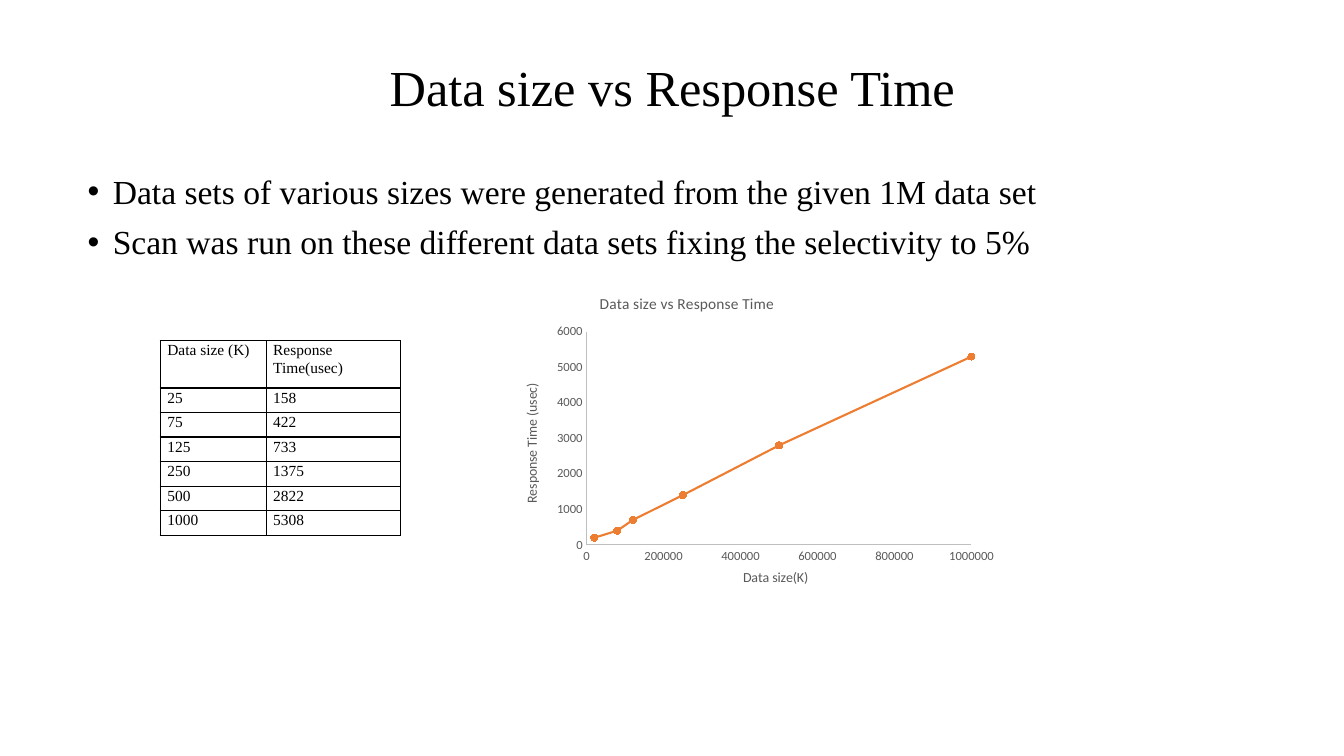
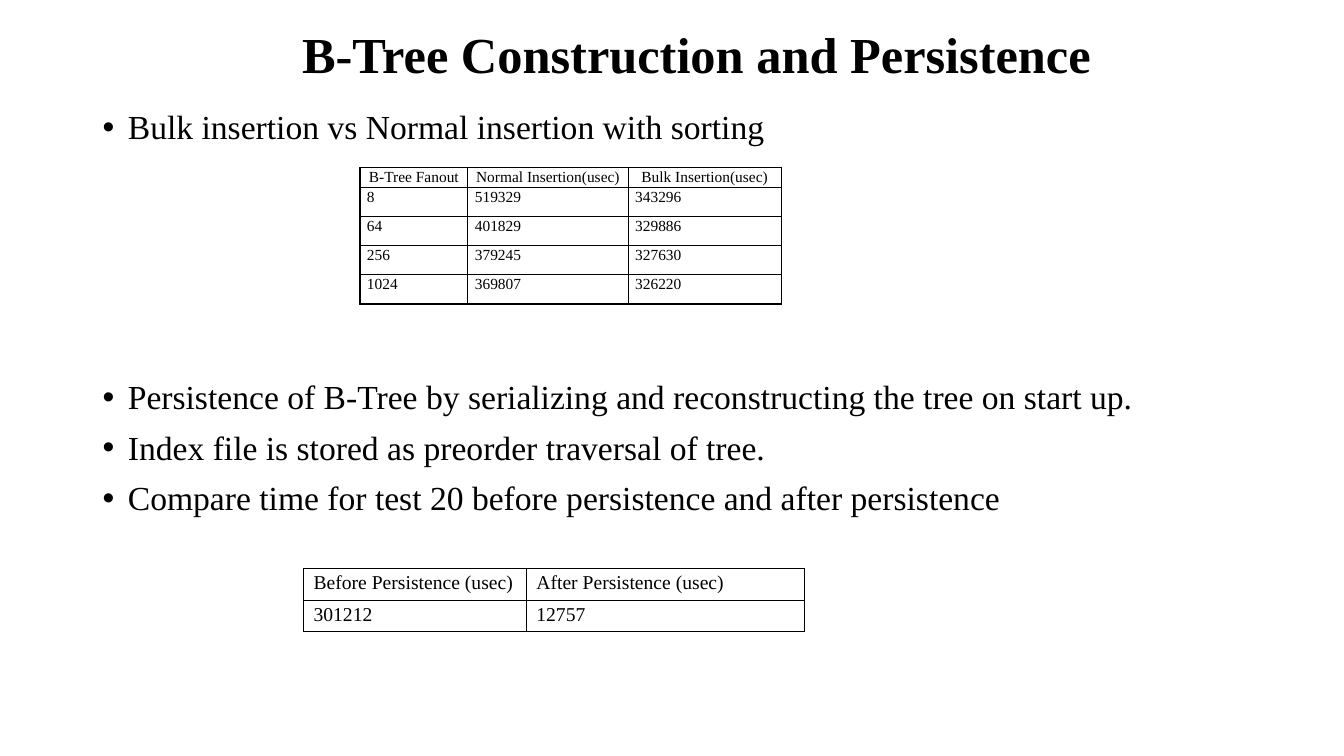
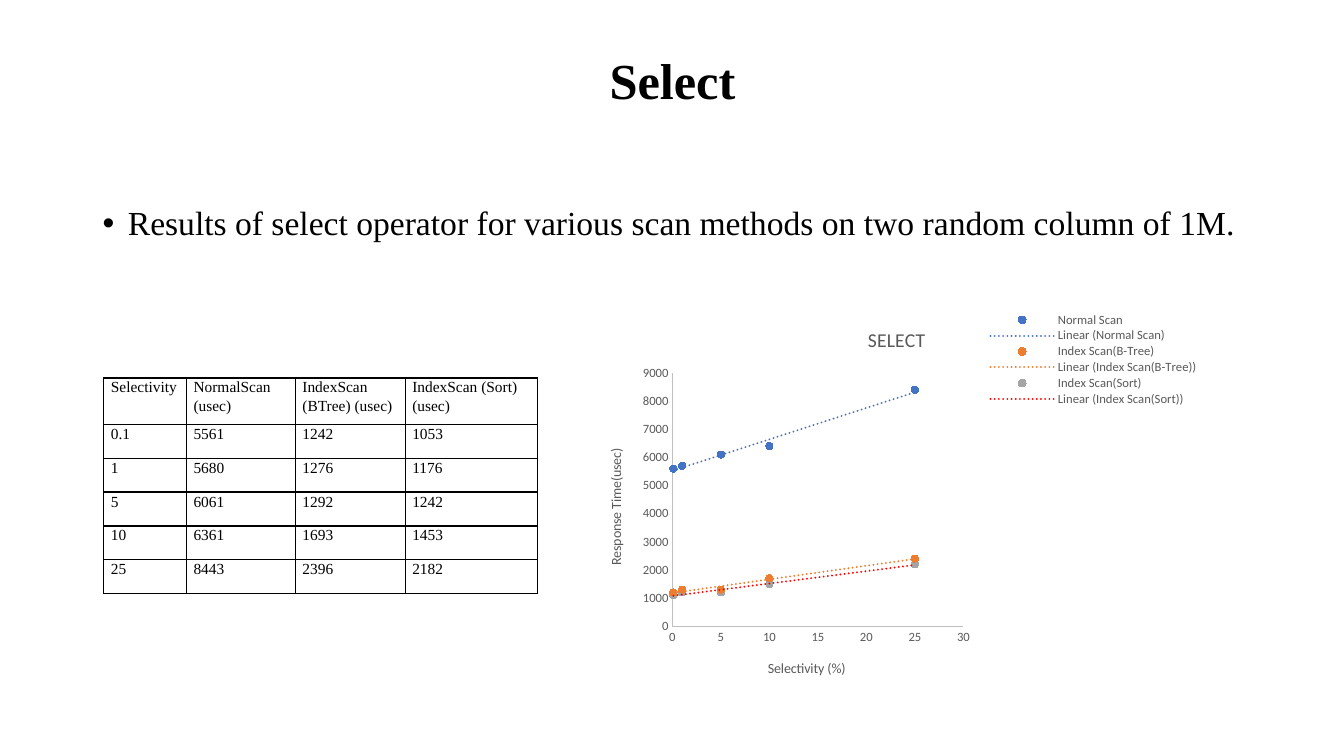
"""Build three slides on data size, B-tree and select benchmarks."""
from pptx import Presentation
from pptx.chart.data import XyChartData
from pptx.dml.color import RGBColor
from pptx.enum.chart import XL_CHART_TYPE, XL_LEGEND_POSITION, XL_MARKER_STYLE, XL_TICK_MARK
from pptx.enum.text import MSO_ANCHOR, PP_ALIGN
from pptx.oxml import parse_xml
from pptx.oxml.ns import nsdecls, qn
from pptx.util import Inches, Pt

LEFT, CENTER, JUSTIFY = PP_ALIGN.LEFT, PP_ALIGN.CENTER, PP_ALIGN.JUSTIFY
TOP, MIDDLE = MSO_ANCHOR.TOP, MSO_ANCHOR.MIDDLE
SCATTER, SCATTER_LINES = XL_CHART_TYPE.XY_SCATTER, XL_CHART_TYPE.XY_SCATTER_LINES
LEGEND_RIGHT = XL_LEGEND_POSITION.RIGHT
CIRCLE = XL_MARKER_STYLE.CIRCLE
NO_TICK = XL_TICK_MARK.NONE

BLACK = RGBColor(0x00, 0x00, 0x00)
GRAY_TEXT = RGBColor(0x59, 0x59, 0x59)
AXIS_GRAY = RGBColor(0xBF, 0xBF, 0xBF)
BLUE = RGBColor(0x44, 0x72, 0xC4)
ORANGE = RGBColor(0xED, 0x7D, 0x31)
SILVER = RGBColor(0xA5, 0xA5, 0xA5)
RED = RGBColor(0xFF, 0x00, 0x00)

TEXT_FONT = "Times New Roman"
CHART_FONT = "Calibri"

SIZE_ROWS = [(25, 158), (75, 422), (125, 733), (250, 1375), (500, 2822), (1000, 5308)]
SELECT_ROWS = [
    (0.1, 5561, 1242, 1053),
    (1, 5680, 1276, 1176),
    (5, 6061, 1292, 1242),
    (10, 6361, 1693, 1453),
    (25, 8443, 2396, 2182),
]

SLIDES = [
    {
        "title": {"text": "Data size vs Response Time", "at": (0.92, 0.4, 11.5, 0.99), "bold": False},
        "bullets": [
            ((0.77, 1.69, 11.65, 1.1), [
                "Data sets of various sizes were generated from the given 1M data set",
                "Scan was run on these different data sets fixing the selectivity to 5%",
            ]),
        ],
        "tables": [{
            "at": (1.59, 3.38), "columns": (1.05, 1.33), "height": 1.93, "header_height": 0.47,
            "header": ("Data size (K)", "Response Time(usec)"), "rows": SIZE_ROWS,
        }],
        "chart": {
            "kind": SCATTER_LINES, "at": (4.8, 2.88, 5.09, 2.97),
            "title": "Data size vs Response Time", "title_size": 11, "title_at": (0.22, 0),
            "plot_at": (0.2, 0.14, 0.75, 0.72),
            "x_axis": {"title": "Data size(K)", "at": (0.5, 0.93), "maximum": 1000000, "step": 200000},
            "y_axis": {"title": "Response Time (usec)", "at": (0.07, 0.31), "maximum": 6000, "step": 1000},
            "rows": [(round(size * 1000, -4), time) for size, time in SIZE_ROWS],
            "series": [("Response Time (usec)", ORANGE, None)],
        },
    },
    {
        "title": {"text": "B-Tree Construction and Persistence", "at": (1.16, 0.14, 11.5, 0.85), "bold": True},
        "bullets": [
            ((0.92, 1.05, 11.5, 0.5), ["Bulk insertion vs Normal insertion with sorting"]),
            ((0.92, 3.73, 11.5, 1.6), [
                "Persistence of B-Tree by serializing and reconstructing the tree on start up.",
                "Index file is stored as preorder traversal of tree.",
                "Compare time for test 20 before persistence and after persistence",
            ]),
        ],
        "tables": [
            {
                "at": (3.57, 1.66), "columns": (1.07, 1.59, 1.52), "height": 1.34, "header_height": 0.18,
                "header": ("B-Tree Fanout", "Normal Insertion(usec)", "Bulk Insertion(usec)"),
                "rows": [(8, 519329, 343296), (64, 401829, 329886),
                         (256, 379245, 327630), (1024, 369807, 326220)],
                "header_align": CENTER, "align": JUSTIFY,
            },
            {
                "at": (3.01, 5.64), "columns": (2.21, 2.76), "height": 0.62, "header_height": 0.31,
                "header": ("Before Persistence (usec)", "After Persistence (usec)"),
                "rows": [(301212, 12757)],
                "size": 14, "spacing": 1.0, "insets": (0.1, 0.04),
            },
        ],
    },
    {
        "title": {"text": "Select", "at": (0.92, 0.4, 11.5, 0.85), "bold": True},
        "bullets": [
            ((0.92, 2, 11.5, 0.5), [
                "Results of select operator for various scan methods on two random column of 1M.",
            ]),
        ],
        "tables": [{
            "at": (1.03, 3.75), "columns": (0.82, 1.08, 1.09, 1.31), "height": 2.14, "header_height": 0.46,
            "header": ("Selectivity", "NormalScan (usec)", "IndexScan\n(BTree) (usec)",
                       "IndexScan (Sort)\n(usec)"),
            "rows": SELECT_ROWS, "header_align": JUSTIFY, "align": JUSTIFY,
        }],
        "chart": {
            "kind": SCATTER, "at": (5.81, 3.09, 6.14, 3.81),
            "title": "SELECT", "title_size": 14, "title_at": (0.45, 0.03),
            "plot_at": (0.14, 0.16, 0.47, 0.66), "legend_at": (0.65, 0, 0.34, 0.25),
            "x_axis": {"title": "Selectivity (%)", "at": (0.29, 0.9), "maximum": 30, "step": 5},
            "y_axis": {"title": "Response Time(usec)", "at": (0.03, 0.35), "maximum": 9000, "step": 1000},
            "rows": SELECT_ROWS,
            "series": [("Normal Scan", BLUE, BLUE), ("Index Scan(B-Tree)", ORANGE, ORANGE),
                       ("Index Scan(Sort)", SILVER, RED)],
        },
    },
]


def style_font(font, size, name=CHART_FONT, color=GRAY_TEXT, bold=False):
    """Set the face, size, colour and weight of a font."""
    font.name, font.size, font.bold = name, Pt(size), bold
    font.color.rgb = color


def write_text(frame, lines, size=24, name=TEXT_FONT, color=BLACK, bold=False,
               align=LEFT, spacing=0.9, space_before=0, bullet=None):
    """Write one formatted paragraph per line into a text frame."""
    for index, line in enumerate(lines):
        para = frame.add_paragraph() if index else frame.paragraphs[0]
        para.alignment, para.line_spacing = align, spacing
        if index and space_before:
            para.space_before = Pt(space_before)
        if bullet:
            properties = para._p.get_or_add_pPr()
            properties.set("marL", str(Inches(0.25)))
            properties.set("indent", str(-Inches(0.25)))
            properties.append(parse_xml(f'<a:buFont {nsdecls("a")} typeface="Arial"/>'))
            properties.append(parse_xml(f'<a:buChar {nsdecls("a")} char="{bullet}"/>'))
        span = para.add_run()
        span.text = line
        style_font(span.font, size, name, color, bold)


def add_text(page, at, lines, anchor=TOP, **style):
    """Add a wrapped text box."""
    frame = page.shapes.add_textbox(*map(Inches, at)).text_frame
    frame.word_wrap, frame.vertical_anchor = True, anchor
    write_text(frame, lines, **style)


def draw_borders(cell):
    """Give a cell a thin black line on every side."""
    properties = cell._tc.get_or_add_tcPr()
    for index, side in enumerate(("lnL", "lnR", "lnT", "lnB")):
        properties.insert(index, parse_xml(
            f'<a:{side} {nsdecls("a")} w="{Pt(1)}"><a:solidFill>'
            f'<a:srgbClr val="{BLACK}"/></a:solidFill></a:{side}>'))


def add_grid(page, at, columns, height, header_height, header, rows, header_align=LEFT,
             align=LEFT, size=11, spacing=1.07, insets=(0.07, 0)):
    """Add a ruled table with a header row and equal body rows."""
    body_height = (height - header_height) / len(rows)
    frame = page.shapes.add_table(len(rows) + 1, len(columns), *map(
        Inches, (*at, sum(columns), height)))
    table = frame.table
    table.first_row = table.horz_banding = False
    for column, width in zip(table.columns, columns):
        column.width = Inches(width)
    for index, (row, values) in enumerate(zip(table.rows, [header, *rows])):
        row.height = Inches(body_height if index else header_height)
        for cell, value in zip(row.cells, values):
            cell.margin_left = cell.margin_right = Inches(insets[0])
            cell.margin_top = cell.margin_bottom = Inches(insets[1])
            cell.fill.background()
            draw_borders(cell)
            write_text(cell.text_frame, str(value).split("\n"), size=size, spacing=spacing,
                       align=align if index else header_align)


def place(element, at, inner=False):
    """Give a chart part a manual place, in fractions of the chart."""
    for layout in element.findall(qn("c:layout")):
        element.remove(layout)
    target = '<c:layoutTarget val="inner"/>' if inner else ""
    modes = '<c:xMode val="edge"/><c:yMode val="edge"/>'
    values = "".join(f'<c:{key} val="{value}"/>' for key, value in zip("xywh", at))
    layout = parse_xml(f'<c:layout {nsdecls("c")}><c:manualLayout>{target}{modes}{values}'
                       '</c:manualLayout></c:layout>')
    overlay = element.find(qn("c:overlay"))
    if overlay is None:
        element.insert(0, layout)
    else:
        overlay.addprevious(layout)


def write_chart_title(title, text, size, at):
    """Fill and place the title of a chart or an axis."""
    write_text(title.text_frame, [text], size=size, name=CHART_FONT, color=GRAY_TEXT,
               align=CENTER, spacing=1.0)
    place(title._element, at)


def style_axis(axis, title, at, maximum, step):
    """Set the scale, line, labels and title of an axis."""
    axis.minimum_scale, axis.maximum_scale, axis.major_unit = 0, maximum, step
    axis.has_major_gridlines = False
    axis.major_tick_mark = axis.minor_tick_mark = NO_TICK
    axis.format.line.color.rgb, axis.format.line.width = AXIS_GRAY, Pt(0.75)
    axis.tick_labels.number_format = "General"
    axis.tick_labels.number_format_is_linked = False
    style_font(axis.tick_labels.font, 9)
    write_chart_title(axis.axis_title, title, 10, at)


def add_trend(series, color):
    """Add a dotted linear trend line to a series."""
    series._element.find(qn("c:xVal")).addprevious(parse_xml(
        f'<c:trendline {nsdecls("c", "a")}><c:spPr><a:ln w="{Pt(1.5)}" cap="rnd"><a:solidFill>'
        f'<a:srgbClr val="{color}"/></a:solidFill><a:prstDash val="sysDot"/></a:ln></c:spPr>'
        '<c:trendlineType val="linear"/><c:dispRSqr val="0"/><c:dispEq val="0"/></c:trendline>'))


def add_scatter(page, kind, at, title, title_size, title_at, plot_at, x_axis, y_axis,
                rows, series, legend_at=None):
    """Add a scatter chart of times, rounded to hundreds, over the first column."""
    data = XyChartData()
    for column, (name, _, _) in enumerate(series, 1):
        points = data.add_series(name)
        for row in rows:
            points.add_data_point(row[0], round(row[column], -2))
    chart = page.shapes.add_chart(kind, *map(Inches, at), data).chart
    style_font(chart.font, 10)
    chart.has_title = True
    write_chart_title(chart.chart_title, title, title_size, title_at)
    style_axis(chart.category_axis, **x_axis)
    style_axis(chart.value_axis, **y_axis)
    place(chart._chartSpace.chart.plotArea, plot_at, inner=True)
    plot = chart.plots[0]
    plot.vary_by_categories = False
    for item, (_, color, trend_color) in zip(plot.series, series):
        item.marker.style, item.marker.size = CIRCLE, 5
        item.marker.format.fill.solid()
        item.marker.format.fill.fore_color.rgb = color
        item.marker.format.line.color.rgb = color
        if trend_color is None:
            item.format.line.color.rgb, item.format.line.width = color, Pt(1.5)
        else:
            item.format.line.fill.background()
            add_trend(item, trend_color)
    chart.has_legend = legend_at is not None
    if legend_at:
        chart.legend.position = LEGEND_RIGHT
        chart.legend.include_in_layout = False
        style_font(chart.legend.font, 9)
        place(chart.legend._element, legend_at)


def main():
    """Build and save the deck."""
    deck = Presentation()
    deck.slide_width, deck.slide_height = Inches(13.33), Inches(7.5)
    for content in SLIDES:
        page = deck.slides.add_slide(deck.slide_layouts[6])
        title = content["title"]
        add_text(page, title["at"], [title["text"]], anchor=MIDDLE, size=36,
                 bold=title["bold"], align=CENTER)
        for at, lines in content["bullets"]:
            add_text(page, at, lines, space_before=10, bullet="•")
        for table in content["tables"]:
            add_grid(page, **table)
        if "chart" in content:
            add_scatter(page, **content["chart"])
    deck.save("out.pptx")


if __name__ == "__main__":
    main()
